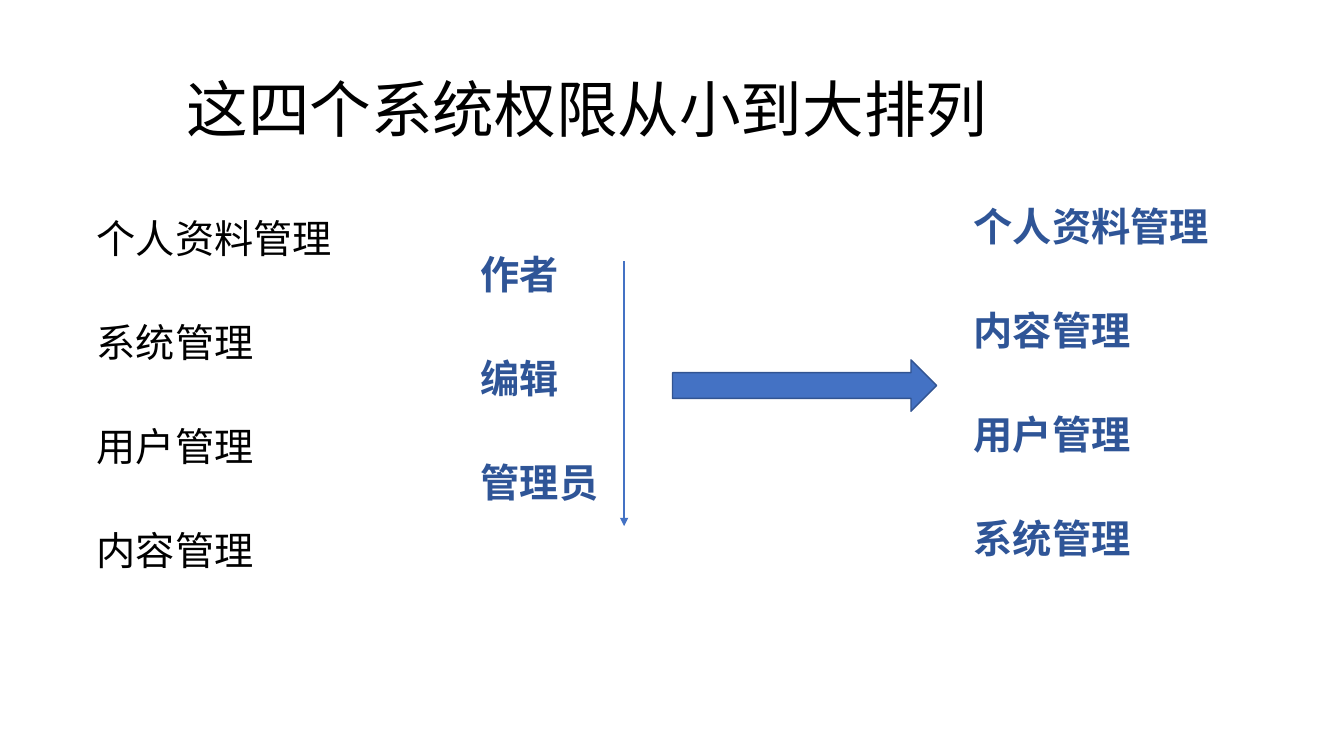
from lxml import etree
from pptx import Presentation
from pptx.dml.color import RGBColor
from pptx.enum import shapes, text
from pptx.oxml import ns
from pptx.util import Inches, Pt

FONT = "Noto Sans CJK SC"
COLORS = {"ink": "000000", "accent": "2F5597", "fill": "4472C4", "edge": "325491"}


def write_lines(sp, box, lines, size, color, bold=False, anchor=text.MSO_ANCHOR.TOP):
    sp.left, sp.top, sp.width, sp.height = map(Inches, box)
    tf = sp.text_frame
    frame_format = {"word_wrap": True, "auto_size": text.MSO_AUTO_SIZE.NONE,
                    "vertical_anchor": anchor}
    for name, value in frame_format.items():
        setattr(tf, name, value)
    for i, line in enumerate(lines):
        p = tf.paragraphs[0] if i == 0 else tf.add_paragraph()
        paragraph_format = {"alignment": text.PP_ALIGN.LEFT, "line_spacing": 0.9,
                            "space_before": Pt(44 if i else 0)}
        for name, value in paragraph_format.items():
            setattr(p, name, value)
        pPr = p._p.get_or_add_pPr()
        pPr.set("marL", "0")
        pPr.set("indent", "0")
        etree.SubElement(pPr, ns.qn("a:buNone"))
        r = p.add_run()
        r.text = line
        for name, value in {"name": FONT, "size": Pt(size), "bold": bold}.items():
            setattr(r.font, name, value)
        r.font.color.rgb = RGBColor.from_string(COLORS[color])
        etree.SubElement(r._r.get_or_add_rPr(), ns.qn("a:ea")).set("typeface", FONT)


prs = Presentation()
prs.slide_width, prs.slide_height = Inches(13.33), Inches(7.5)
s = prs.slides.add_slide(prs.slide_layouts[1])

write_lines(s.shapes.title, (1.75, 0.39, 11.5, 1.45), ["这四个系统权限从小到大排列"],
            44, "ink", anchor=text.MSO_ANCHOR.MIDDLE)
write_lines(s.placeholders[1], (0.86, 2.13, 3.63, 4.76),
            ["个人资料管理", "系统管理", "用户管理", "内容管理"], 28, "ink")

ranked_lists = [
    ((9.56, 2.01, 4.14, 4.76), ["个人资料管理", "内容管理", "用户管理", "系统管理"]),
    ((4.67, 2.49, 1.73, 3.36), ["作者", "编辑", "管理员"]),
]
for box, lines in ranked_lists:
    write_lines(s.shapes.add_textbox(0, 0, 0, 0), box, lines, 28, "accent", bold=True)

arrow = s.shapes.add_shape(shapes.MSO_SHAPE.RIGHT_ARROW,
                           Inches(6.67), Inches(3.57), Inches(2.62), Inches(0.51))
arrow.shadow.inherit = False
arrow.fill.solid()
arrow.fill.fore_color.rgb = RGBColor.from_string(COLORS["fill"])
arrow.line.color.rgb = RGBColor.from_string(COLORS["edge"])
arrow.line.width = Pt(1)

rank_line = s.shapes.add_connector(shapes.MSO_CONNECTOR.STRAIGHT,
                                   Inches(6.19), Inches(2.59), Inches(6.19), Inches(5.22))
rank_line.line.color.rgb = RGBColor.from_string(COLORS["fill"])
rank_line.line.width = Pt(1.5)
etree.SubElement(rank_line.line._get_or_add_ln(), ns.qn("a:tailEnd")).set("type", "triangle")
etree.SubElement(rank_line._element.spPr, ns.qn("a:effectLst"))

prs.save("out.pptx")
